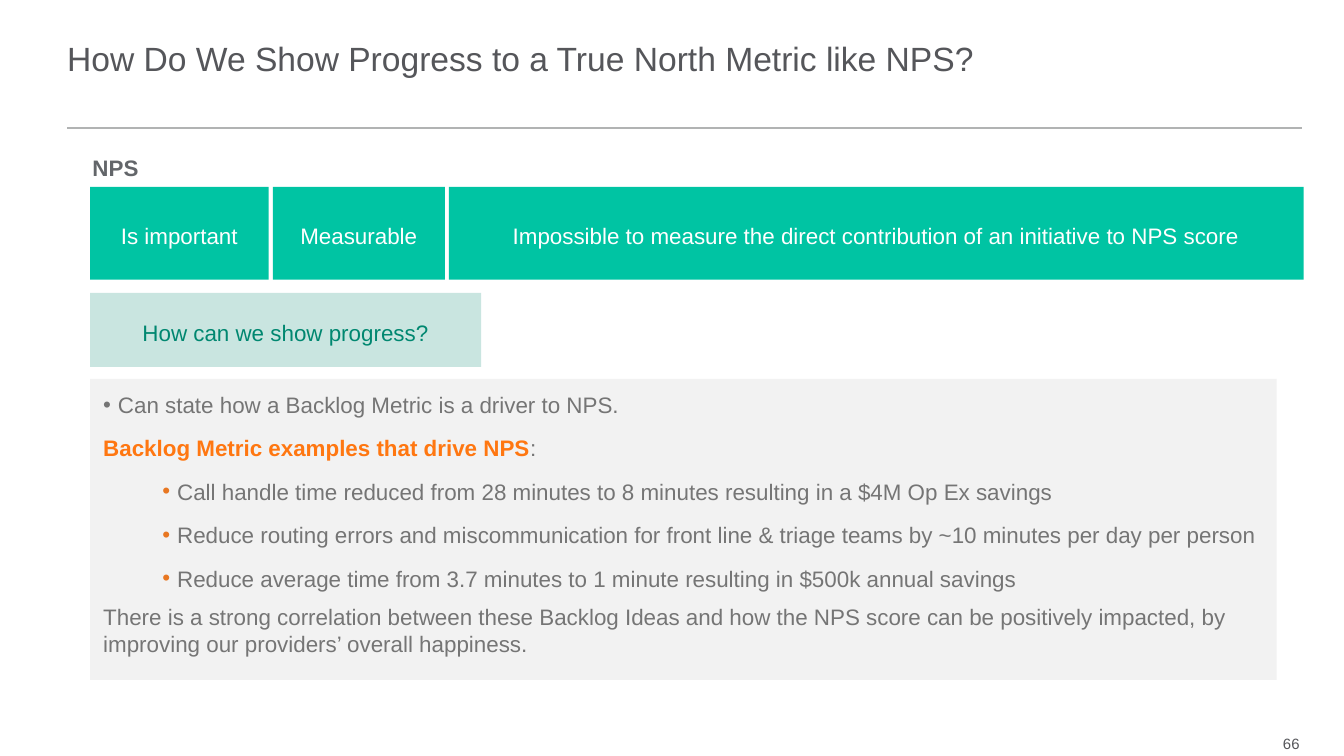
from lxml import etree
from pptx import Presentation
from pptx import util as u
from pptx.dml.color import RGBColor
from pptx.enum import shapes, text
from pptx.oxml import ns

GREY, DARK, TEAL, ORANGE = "757575", "55565A", "00C4A3", "E87722"


def rgb(value):
    return RGBColor.from_string(value)


def apply(target, values):
    for name, value in values.items():
        setattr(target, name, value)


class SlideBuilder:
    font = "Arial"
    size = 12

    def __init__(self, slide):
        self.slide = slide

    def run(self, paragraph, words, color, size=None, bold=False):
        run = paragraph.add_run()
        run.text = words
        apply(run.font, {"name": self.font, "size": u.Pt(size or self.size), "bold": bold})
        run.font.color.rgb = rgb(color)

    def frame(self, box, anchor=text.MSO_ANCHOR.TOP, inset=None, wrap=True):
        frame = box.text_frame
        apply(frame, {"word_wrap": wrap, "vertical_anchor": anchor})
        if inset is not None:
            sides = ("left", "top", "right", "bottom")
            apply(frame, {f"margin_{side}": u.Inches(inset) for side in sides})
        return frame

    def title(self, place, words):
        heading = self.slide.shapes.title
        apply(heading, dict(zip(("left", "top", "width", "height"), map(u.Inches, place))))
        frame = self.frame(heading, text.MSO_ANCHOR.MIDDLE, 0)
        frame.auto_size = text.MSO_AUTO_SIZE.NONE
        paragraph = frame.paragraphs[0]
        paragraph.alignment = text.PP_ALIGN.LEFT
        self.run(paragraph, words, DARK, 18)

    def rule(self, left, right, top, color):
        line = self.slide.shapes.add_connector(
            shapes.MSO_CONNECTOR.STRAIGHT, *map(u.Inches, (left, top, right, top)))
        line.line.color.rgb = rgb(color)
        line.line.width = u.Pt(1)
        etree.SubElement(line._element.spPr, ns.qn("a:effectLst"))

    def panel(self, place, fill, words="", color="FFFFFF"):
        panel = self.slide.shapes.add_shape(
            shapes.MSO_SHAPE.RECTANGLE, *map(u.Inches, place))
        panel.shadow.inherit = False
        panel.fill.solid()
        panel.fill.fore_color.rgb = rgb(fill)
        panel.line.fill.background()
        if words:
            paragraph = self.frame(panel, text.MSO_ANCHOR.MIDDLE).paragraphs[0]
            apply(paragraph, {"alignment": text.PP_ALIGN.CENTER,
                              "line_spacing": 1.2, "space_after": u.Pt(3)})
            self.run(paragraph, words, color)

    def label(self, place, words, color, size=None, bold=False, values=None, **frame_values):
        box = self.slide.shapes.add_textbox(*map(u.Inches, place))
        paragraph = self.frame(box, **frame_values).paragraphs[0]
        apply(paragraph, values or {})
        self.run(paragraph, words, color, size, bold)

    def bullet(self, paragraph, indent, color):
        props = paragraph._p.get_or_add_pPr()
        props.set("marL", str(u.Inches(indent)))
        props.set("indent", str(u.Inches(-0.11)))
        tint = etree.SubElement(props, ns.qn("a:buClr"))
        etree.SubElement(tint, ns.qn("a:srgbClr")).set("val", color)
        etree.SubElement(props, ns.qn("a:buFont")).set("typeface", self.font)
        etree.SubElement(props, ns.qn("a:buChar")).set("char", "•")

    def body(self, place, entries):
        frame = self.frame(self.slide.shapes.add_textbox(*map(u.Inches, place)))
        for index, (values, marker, runs) in enumerate(entries):
            paragraph = frame.add_paragraph() if index else frame.paragraphs[0]
            if marker:
                self.bullet(paragraph, *marker)
            apply(paragraph, values)
            for words, color, bold in runs:
                self.run(paragraph, words, color, bold=bold)


def main():
    deck = Presentation()
    width = u.Inches(10)
    apply(deck, {"slide_width": width, "slide_height": width * 9 // 16})
    page = SlideBuilder(deck.slides.add_slide(deck.slide_layouts[5]))

    page.rule(0.5, 9.69, 0.95, "B1B3B3")
    page.title((0.5, 0.07, 7.33, 0.73),
               "How Do We Show Progress to a True North Metric like NPS?")

    left = 0.67
    page.panel((left, 2.82, 8.83, 2.24), "F2F2F2")
    spaced = {"line_spacing": 1.2, "space_after": u.Pt(6)}
    examples = (
        "Call handle time reduced from 28 minutes to 8 minutes resulting in a $4M Op Ex savings",
        "Reduce routing errors and miscommunication for front line & triage teams"
        " by ~10 minutes per day per person",
        "Reduce average time from 3.7 minutes to 1 minute resulting in $500k annual savings",
    )
    conclusion = ("There is a strong correlation between these Backlog Ideas and how the NPS score"
                  " can be positively impacted, by improving our providers’ overall happiness.")
    page.body((left, 2.82, 8.83, 2.14), [
        (spaced, (0.11, GREY),
         [("Can state how a Backlog Metric is a driver to NPS.", GREY, False)]),
        (spaced, None,
         [("Backlog Metric examples that drive NPS", "FF7711", True), (":", GREY, False)]),
        *(({**spaced, "level": 1}, (0.55, ORANGE), [(example, GREY, False)])
          for example in examples),
        ({}, None, [(conclusion, GREY, False)]),
    ])

    page.label((0.59, 1.04, 0.57, 0.34), "NPS", "63666A", bold=True,
               values={"line_spacing": 1.3, "space_after": u.Pt(6)})
    trait_left, gap = left, 0.03
    for trait, trait_width in (
        ("Is important", 1.33),
        ("Measurable", 1.28),
        ("Impossible to measure the direct contribution of an initiative to NPS score", 6.36),
    ):
        page.panel((trait_left, 1.39, trait_width, 0.69), TEAL, trait)
        trait_left += trait_width + gap
    page.panel((left, 2.18, 2.91, 0.55), "C9E5E0", "How can we show progress?", "008770")

    page.label((9.25, 5.43, 0.42, 0.2), "66", DARK, 8,
               values={"alignment": text.PP_ALIGN.RIGHT},
               anchor=text.MSO_ANCHOR.MIDDLE, inset=0, wrap=False)
    deck.save("out.pptx")


if __name__ == "__main__":
    main()
